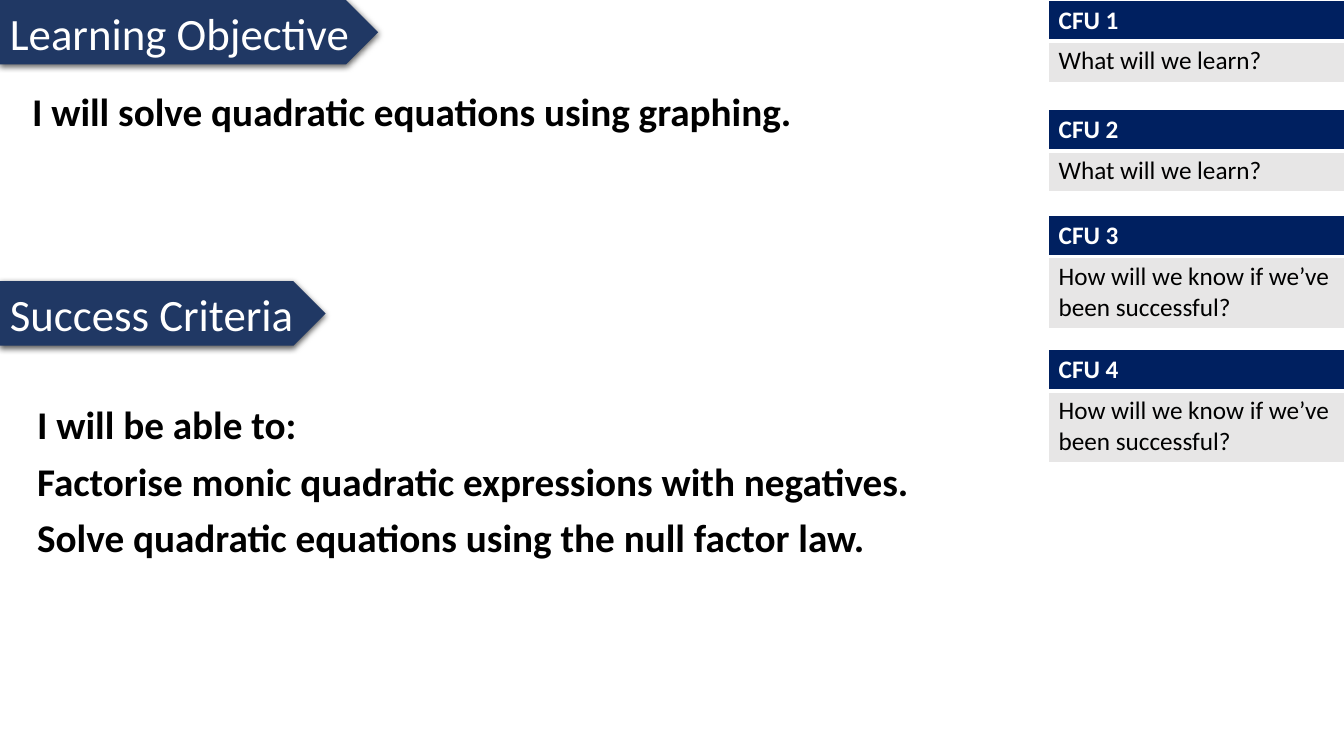
from dataclasses import dataclass

from lxml import etree
from pptx import Presentation
from pptx.dml.color import RGBColor
from pptx.enum.shapes import MSO_SHAPE
from pptx.enum.text import MSO_ANCHOR, PP_ALIGN
from pptx.oxml import parse_xml
from pptx.oxml.ns import nsdecls, qn
from pptx.util import Inches, Pt


@dataclass(frozen=True)
class Theme:
    font: str = "Calibri"
    banner: str = "203864"
    header: str = "002060"
    cell: str = "E7E6E6"
    white: str = "FFFFFF"
    black: str = "000000"
    banner_size: int = 32
    body_size: int = 28
    table_size: int = 18


THEME = Theme()

LEARN = "What will we learn?"
SUCCESS = "How will we know if we’ve been successful?"
# Top edge, height of the question row, question
CHECKS = [
    (0, 0.41, LEARN),
    (1.09, 0.41, LEARN),
    (2.14, 0.7, SUCCESS),
    (3.47, 0.7, SUCCESS),
]


def style(p, size, color, bold=False):
    p.alignment = PP_ALIGN.LEFT
    p.font.name = THEME.font
    p.font.size = Pt(size)
    p.font.bold = bold
    p.font.color.rgb = RGBColor.from_string(color)


def add_shadow(s):
    s.shadow.inherit = False
    effects = s._element.spPr.find(qn("a:effectLst"))
    effects.append(parse_xml(
        f'<a:outerShdw {nsdecls("a")} blurRad="{Pt(4.5)}" dist="{Pt(1.5)}" '
        'dir="5400000" algn="ctr" rotWithShape="0">'
        f'<a:srgbClr val="{THEME.black}"><a:alpha val="63000"/></a:srgbClr>'
        '</a:outerShdw>'))


def add_banner(slide, top, width, text):
    s = slide.shapes.add_shape(MSO_SHAPE.PENTAGON, 0, Inches(top),
                               Inches(width), Inches(0.64))
    s.fill.solid()
    s.fill.fore_color.rgb = RGBColor.from_string(THEME.banner)
    s.line.fill.background()
    add_shadow(s)
    tf = s.text_frame
    tf.word_wrap = False
    tf.vertical_anchor = MSO_ANCHOR.MIDDLE
    tf.text = text
    style(tf.paragraphs[0], THEME.banner_size, THEME.white)


def add_body(slide, left, top, width, height, lines):
    s = slide.shapes.add_textbox(Inches(left), Inches(top),
                                 Inches(width), Inches(height))
    tf = s.text_frame
    tf.word_wrap = True
    tf.text = "\n".join(lines)
    for i, p in enumerate(tf.paragraphs):
        style(p, THEME.body_size, THEME.black, bold=True)
        p.line_spacing = 0.9
        p.space_before = Pt(10 if i else 0)


def set_borders(cell, top, bottom):
    tc_pr = cell._tc.get_or_add_tcPr()
    widths = {"lnL": 1, "lnR": 1, "lnT": top, "lnB": bottom}
    for i, (tag, width) in enumerate(widths.items()):
        ln = etree.Element(qn(f"a:{tag}"), w=str(Pt(width)))
        fill = etree.SubElement(ln, qn("a:solidFill"))
        etree.SubElement(fill, qn("a:srgbClr"), val=THEME.white)
        tc_pr.insert(i, ln)


def fill_cell(cell, text, fill, color, bold, top, bottom):
    cell.fill.solid()
    cell.fill.fore_color.rgb = RGBColor.from_string(fill)
    cell.text = text
    style(cell.text_frame.paragraphs[0], THEME.table_size, color, bold)
    set_borders(cell, top, bottom)


def add_check(slide, number, top, question_height, question):
    heights = (0.39, question_height)
    table = slide.shapes.add_table(2, 1, Inches(10.4), Inches(top),
                                   Inches(2.94), Inches(sum(heights))).table
    for row, height in zip(table.rows, heights):
        row.height = Inches(height)
    fill_cell(table.cell(0, 0), f"CFU {number}", THEME.header, THEME.white,
              bold=True, top=1, bottom=3)
    fill_cell(table.cell(1, 0), question, THEME.cell, THEME.black,
              bold=False, top=3, bottom=1)


def main():
    prs = Presentation()
    prs.slide_width, prs.slide_height = Inches(13.33), Inches(7.5)
    slide = prs.slides.add_slide(prs.slide_layouts[6])

    # Section banners
    add_banner(slide, 0, 3.75, "Learning Objective")
    add_banner(slide, 2.79, 3.23, "Success Criteria")

    # Checks for understanding
    for number, check in enumerate(CHECKS, 1):
        add_check(slide, number, *check)

    # Objective and criteria
    add_body(slide, 0.22, 0.87, 9.7, 2.5,
             ["I will solve quadratic equations using graphing."])
    add_body(slide, 0.27, 3.98, 9.59, 2.73, [
        "I will be able to:",
        "Factorise monic quadratic expressions with negatives.",
        "Solve quadratic equations using the null factor law.",
    ])

    prs.save("out.pptx")


if __name__ == "__main__":
    main()
